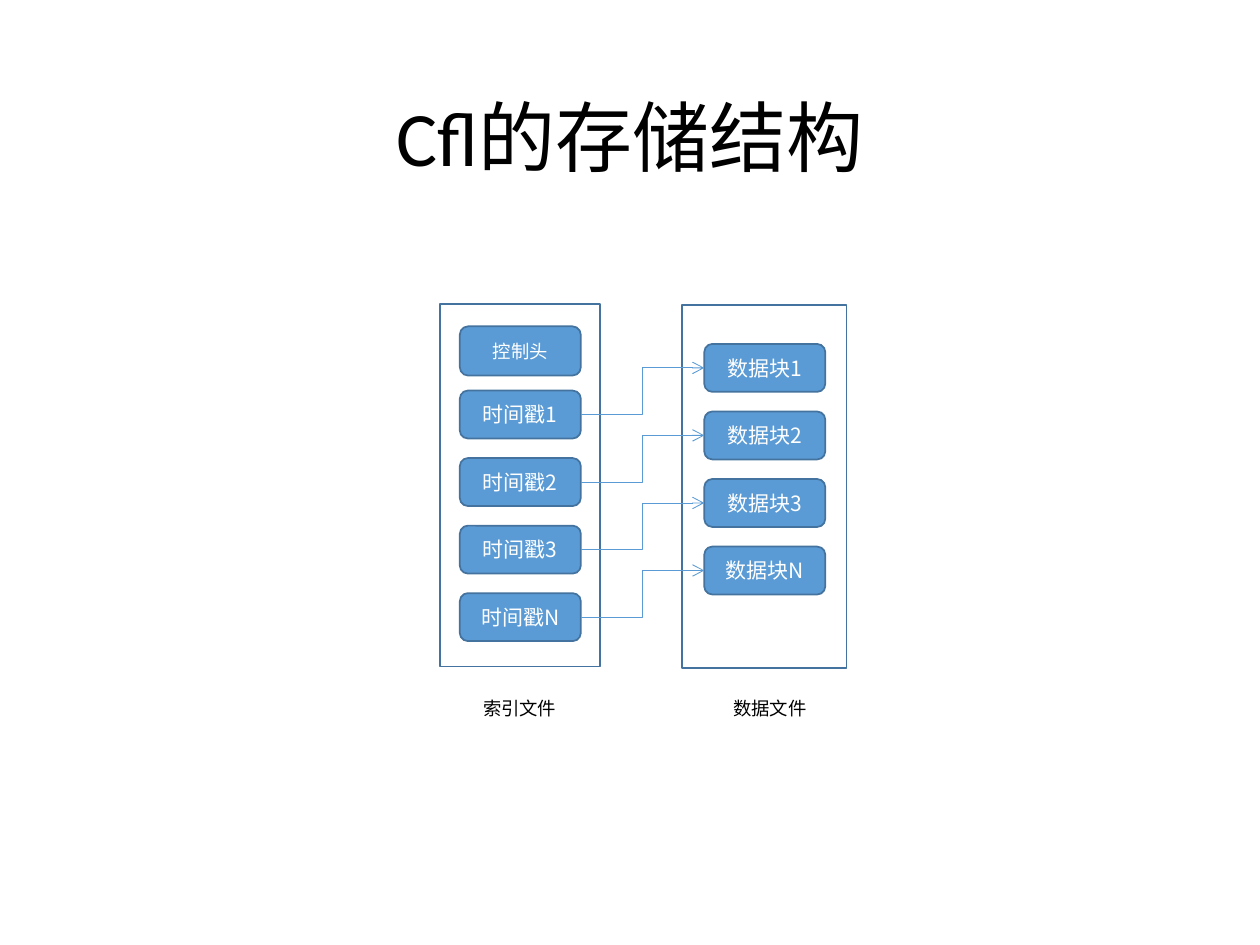
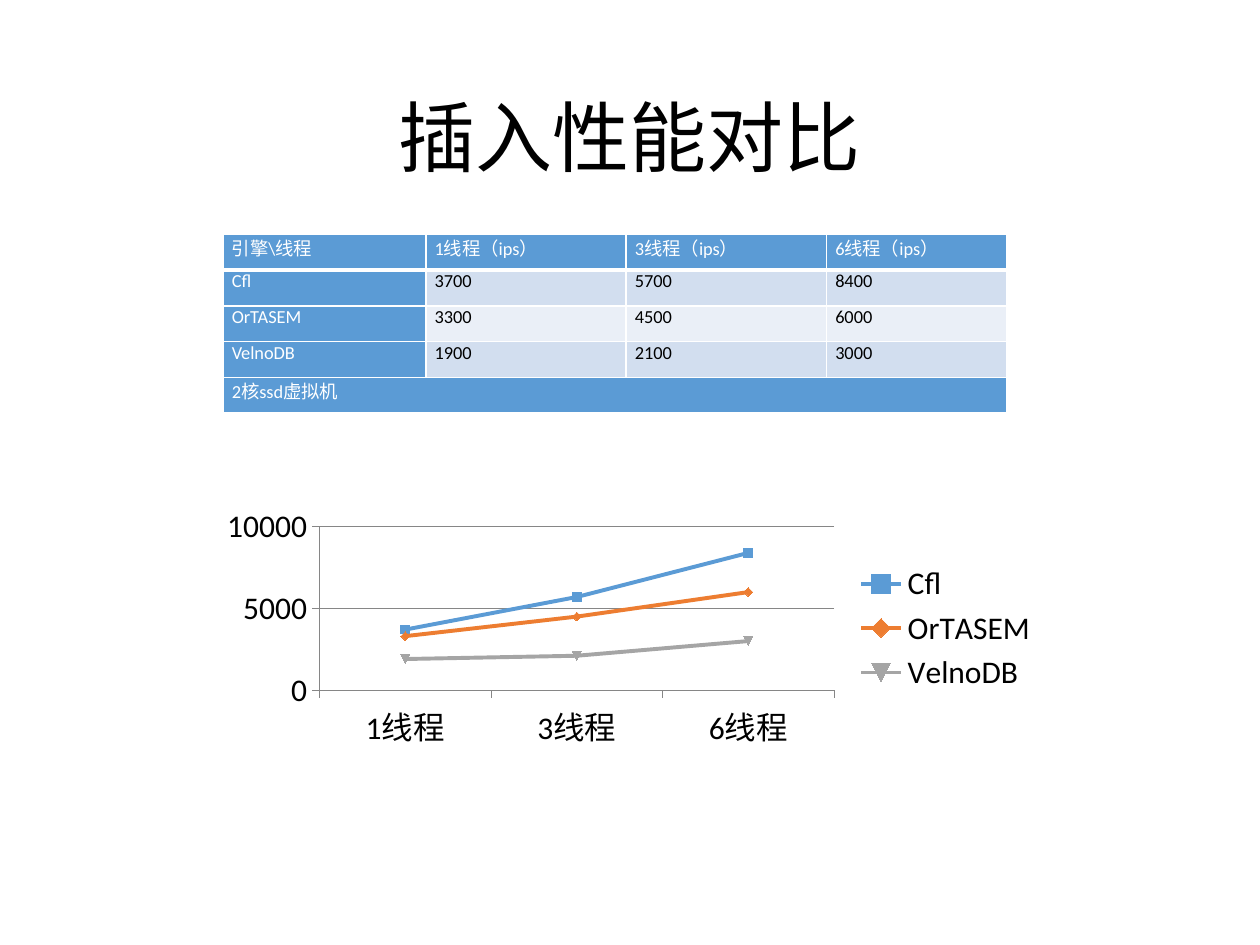
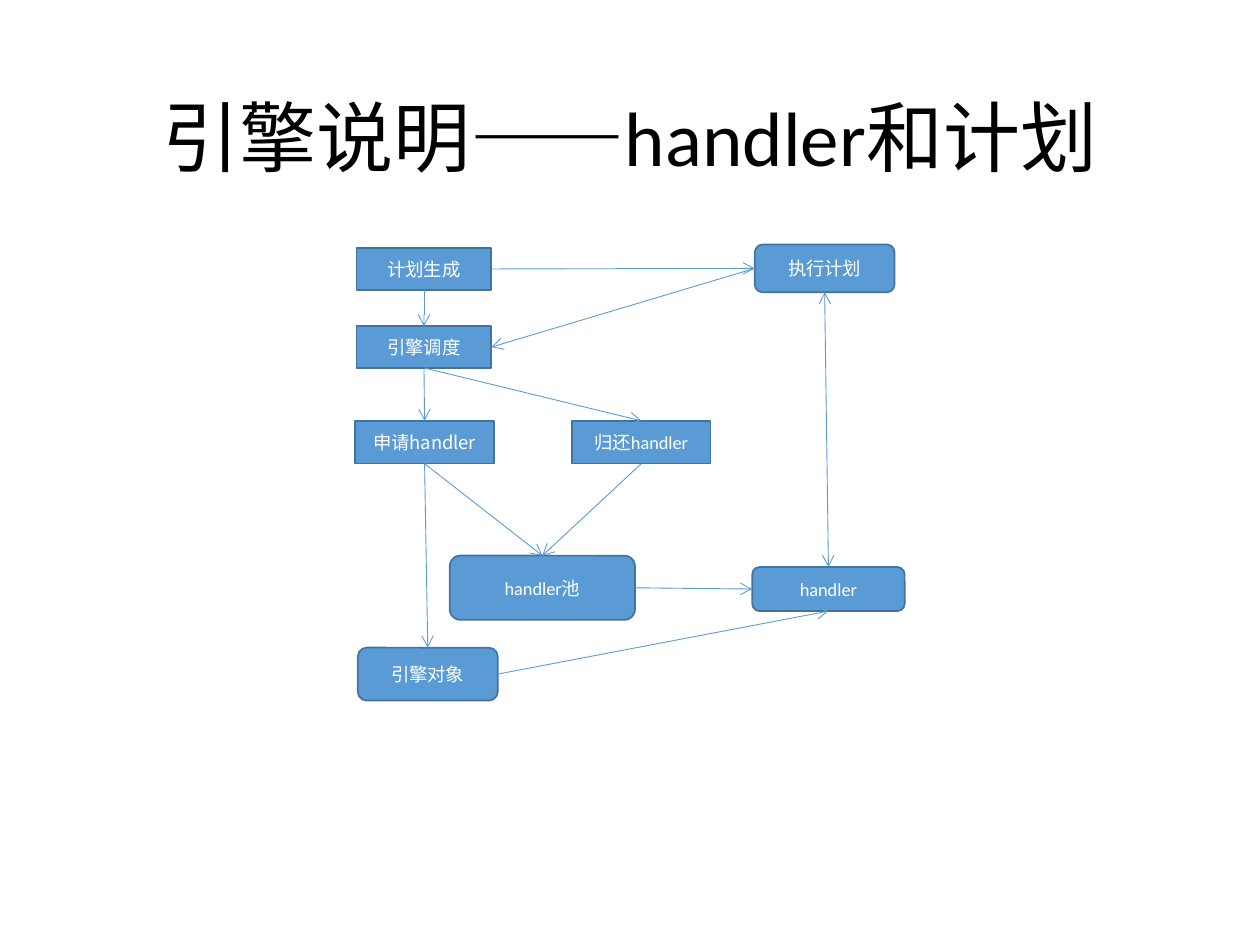
"""Build three slides about the Cfl storage engine."""
from dataclasses import dataclass

from lxml.etree import SubElement
from pptx import Presentation
from pptx.chart.data import CategoryChartData
from pptx.dml.color import RGBColor
from pptx.enum.chart import XL_CHART_TYPE, XL_LEGEND_POSITION, XL_TICK_MARK
from pptx.enum.shapes import MSO_CONNECTOR, MSO_SHAPE
from pptx.enum.text import MSO_ANCHOR, PP_ALIGN
from pptx.oxml.ns import qn
from pptx.util import Inches, Pt


@dataclass(frozen=True)
class Theme:
    """Colours, fonts, type sizes and line widths shared by the slides."""
    accent: str = "5B9BD5"
    outline: str = "43739E"
    ink: str = "000000"
    paper: str = "FFFFFF"
    axis: str = "868686"
    bands: tuple = ("D2DEEF", "EAEFF7")
    series: tuple = ("5B9BD5", "ED7D31", "A5A5A5")
    latin: str = "Calibri"
    cjk: str = "Noto Sans CJK SC"
    title: float = 44
    label: float = 12
    small: float = 10.5
    chart: float = 18
    border: float = 1
    header_border: float = 3
    arrow: float = 0.5
    series_line: float = 2.25


THEME = Theme()
UNIT = Inches(0.1)
TOP, LEFT, BOTTOM, RIGHT = range(4)


def grid(*lengths):
    """Turn columns and rows of the 100 by 75 grid into slide lengths."""
    return [round(length * UNIT) for length in lengths]


def rgb(colour):
    """Return the colour object for a hex string."""
    return RGBColor.from_string(colour)


def style_font(font, size, colour, name=THEME.latin):
    """Set the size, colour and face of a font."""
    font.size, font.name = Pt(size), name
    font.color.rgb = rgb(colour)


def style_line(line, colour, width):
    """Set the colour and width of a line."""
    line.color.rgb = rgb(colour)
    line.width = Pt(width)


def write(shape, text, size, colour, name=THEME.latin):
    """Write one centred paragraph in the middle of a shape."""
    frame = shape.text_frame
    frame.word_wrap = True
    frame.vertical_anchor = MSO_ANCHOR.MIDDLE
    paragraph = frame.paragraphs[0]
    paragraph.text = text
    paragraph.alignment = PP_ALIGN.CENTER
    style_font(paragraph.font, size, colour, name)
    return paragraph


def add_label(slide, text, place, size=THEME.small):
    """Add a text box and return its paragraph."""
    return write(slide.shapes.add_textbox(*grid(*place)), text, size, THEME.ink)


def add_titled_slide(presentation, title):
    """Add a blank slide with the shared title."""
    slide = presentation.slides.add_slide(presentation.slide_layouts[6])
    add_label(slide, title, (6.9, 4, 86.2, 14.5), THEME.title).line_spacing = 0.9
    return slide


def add_box(slide, place, kind=MSO_SHAPE.RECTANGLE):
    """Add an unfilled outlined box."""
    box = slide.shapes.add_shape(kind, *grid(*place))
    box.shadow.inherit = False
    box.fill.background()
    style_line(box.line, THEME.outline, THEME.border)
    return box


def add_node(slide, text, place, rounded=True, size=THEME.small, name=THEME.latin):
    """Add a filled box with a white label."""
    kind = MSO_SHAPE.ROUNDED_RECTANGLE if rounded else MSO_SHAPE.RECTANGLE
    node = add_box(slide, place, kind)
    node.fill.solid()
    node.fill.fore_color.rgb = rgb(THEME.accent)
    write(node, text, size, THEME.paper, name)
    return node


def add_arrow(slide, start, start_side, end, end_side,
              kind=MSO_CONNECTOR.STRAIGHT, both_ends=False):
    """Join two nodes with an arrow."""
    arrow = slide.shapes.add_connector(kind, 0, 0, 0, 0)
    arrow.begin_connect(start, start_side)
    arrow.end_connect(end, end_side)
    style_line(arrow.line, THEME.accent, THEME.arrow)
    properties = arrow._element.spPr
    line = properties.find(qn("a:ln"))
    for tag in ("a:headEnd", "a:tailEnd") if both_ends else ("a:tailEnd",):
        SubElement(line, qn(tag), type="arrow")
    SubElement(properties, qn("a:effectLst"))


def add_file_column(slide, texts, column, first_row):
    """Add evenly spaced record nodes down a file box."""
    pitch = 5.36
    return [add_node(slide, text, (column, first_row + index * pitch, 9.6, 3.8),
                     size=THEME.label, name=THEME.cjk)
            for index, text in enumerate(texts)]


def build_storage_slide(presentation):
    """Show how index records point to data blocks."""
    slide = add_titled_slide(presentation, "Cfl的存储结构")
    add_box(slide, (34.9, 24.1, 12.7, 28.8))
    add_box(slide, (54.1, 24.2, 13.1, 28.8))
    add_node(slide, "控制头", (36.5, 25.9, 9.6, 3.9))
    marks = ("1", "2", "3", "N")
    stamps = add_file_column(slide, [f"时间戳{mark}" for mark in marks], 36.5, 31)
    blocks = add_file_column(slide, [f"数据块{mark}" for mark in marks], 55.9, 27.3)
    for stamp, block in zip(stamps, blocks):
        add_arrow(slide, stamp, RIGHT, block, LEFT, MSO_CONNECTOR.ELBOW)
    add_label(slide, "索引文件", (34.9, 54.5, 12.7, 3.4))
    add_label(slide, "数据文件", (55, 54.5, 12.2, 3.4))


def add_cell_borders(cell, bottom):
    """Draw white borders around a cell."""
    properties = cell._tc.get_or_add_tcPr()
    widths = {"L": THEME.border, "R": THEME.border, "T": THEME.border, "B": bottom}
    for side, width in widths.items():
        line = SubElement(properties, qn(f"a:ln{side}"), w=str(Pt(width)))
        fill = SubElement(line, qn("a:solidFill"))
        SubElement(fill, qn("a:srgbClr"), val=THEME.paper)


def fill_cell(cell, text, fill, ink, bottom):
    """Style a cell and write its text."""
    add_cell_borders(cell, bottom)
    cell.fill.solid()
    cell.fill.fore_color.rgb = rgb(fill)
    cell.margin_left, cell.margin_right, cell.margin_top, cell.margin_bottom = grid(
        0.7, 0.7, 0, 0)
    paragraph = cell.text_frame.paragraphs[0]
    paragraph.text = text
    paragraph.alignment = PP_ALIGN.JUSTIFY
    style_font(paragraph.font, THEME.small, ink)


def add_speed_table(slide, threads, speeds, note):
    """Add the table of insert speeds with a merged note row."""
    rows = [["引擎\\线程"] + [f"{thread}（ips）" for thread in threads]]
    rows += [[engine, *map(str, values)] for engine, values in speeds.items()]
    rows.append([note] + [""] * len(threads))
    last = len(rows) - 1
    table = slide.shapes.add_table(len(rows), len(rows[0]),
                                   *grid(17.7, 18.6, 62.2, 14.2)).table
    for column, width in zip(table.columns, grid(16.1, 15.9, 15.9, 14.3)):
        column.width = width
    for row_index, texts in enumerate(rows):
        for column_index, text in enumerate(texts):
            strong = row_index in (0, last) or column_index == 0
            fill = THEME.accent if strong else THEME.bands[(row_index - 1) % 2]
            fill_cell(table.cell(row_index, column_index), text, fill,
                      THEME.paper if strong else THEME.ink,
                      THEME.border if row_index else THEME.header_border)
    table.cell(last, 0).merge(table.cell(last, len(threads)))


def add_speed_chart(slide, threads, speeds):
    """Add the line chart of insert speeds."""
    data = CategoryChartData()
    data.categories = threads
    for engine, values in speeds.items():
        data.add_series(engine, values)
    chart = slide.shapes.add_chart(XL_CHART_TYPE.LINE_MARKERS,
                                   *grid(16.7, 39.9, 66.7, 19.9), data).chart
    style_font(chart.font, THEME.chart, THEME.ink)
    chart.has_title = False
    chart.has_legend = True
    chart.legend.position = XL_LEGEND_POSITION.RIGHT
    chart.legend.include_in_layout = False
    for axis in (chart.category_axis, chart.value_axis):
        axis.major_tick_mark = XL_TICK_MARK.OUTSIDE
        axis.minor_tick_mark = XL_TICK_MARK.NONE
        style_line(axis.format.line, THEME.axis, THEME.arrow)
    scale = chart.value_axis
    scale.minimum_scale, scale.maximum_scale, scale.major_unit = 0, 10000, 5000
    style_line(scale.major_gridlines.format.line, THEME.axis, THEME.arrow)
    chart.plots[0].vary_by_categories = False
    for series, colour in zip(chart.plots[0].series, THEME.series):
        series.smooth = False
        style_line(series.format.line, colour, THEME.series_line)
        series.marker.format.fill.solid()
        series.marker.format.fill.fore_color.rgb = rgb(colour)
        style_line(series.marker.format.line, colour, THEME.border)


def build_speed_slide(presentation):
    """Compare insert speeds in a table and a chart."""
    slide = add_titled_slide(presentation, "插入性能对比")
    threads = ["1线程", "3线程", "6线程"]
    speeds = {"Cfl": (3700, 5700, 8400),
              "OrTASEM": (3300, 4500, 6000),
              "VelnoDB": (1900, 2100, 3000)}
    add_speed_table(slide, threads, speeds, "2核ssd虚拟机")
    add_speed_chart(slide, threads, speeds)


def build_handler_slide(presentation):
    """Show how plans, handlers and engine objects are related."""
    slide = add_titled_slide(presentation, "引擎说明——handler和计划")
    planning = add_node(slide, "计划生成", (28.3, 19.7, 10.7, 3.3), False)
    dispatch = add_node(slide, "引擎调度", (28.3, 25.9, 10.7, 3.3), False, name=THEME.cjk)
    acquire = add_node(slide, "申请handler", (28.2, 33.4, 11, 3.4), False, name=THEME.cjk)
    release = add_node(slide, "归还handler", (45.4, 33.4, 11, 3.4), False)
    pool = add_node(slide, "handler池", (35.7, 44.1, 14.7, 5.1))
    engine = add_node(slide, "引擎对象", (28.4, 51.4, 11.1, 4.2))
    plan = add_node(slide, "执行计划", (59.9, 19.4, 11.1, 3.8))
    handler = add_node(slide, "handler", (59.7, 45, 12.1, 3.5))
    for start, start_side, end, end_side in (
            (planning, BOTTOM, dispatch, TOP),
            (planning, RIGHT, plan, LEFT),
            (plan, LEFT, dispatch, RIGHT),
            (dispatch, BOTTOM, acquire, TOP),
            (dispatch, BOTTOM, release, TOP),
            (acquire, BOTTOM, engine, TOP),
            (acquire, BOTTOM, pool, TOP),
            (release, BOTTOM, pool, TOP),
            (pool, RIGHT, handler, LEFT),
            (engine, RIGHT, handler, BOTTOM)):
        add_arrow(slide, start, start_side, end, end_side)
    add_arrow(slide, plan, BOTTOM, handler, TOP, both_ends=True)


def main():
    """Build and save the presentation."""
    presentation = Presentation()
    presentation.slide_width, presentation.slide_height = grid(100, 75)
    build_storage_slide(presentation)
    build_speed_slide(presentation)
    build_handler_slide(presentation)
    presentation.save("out.pptx")


if __name__ == "__main__":
    main()
